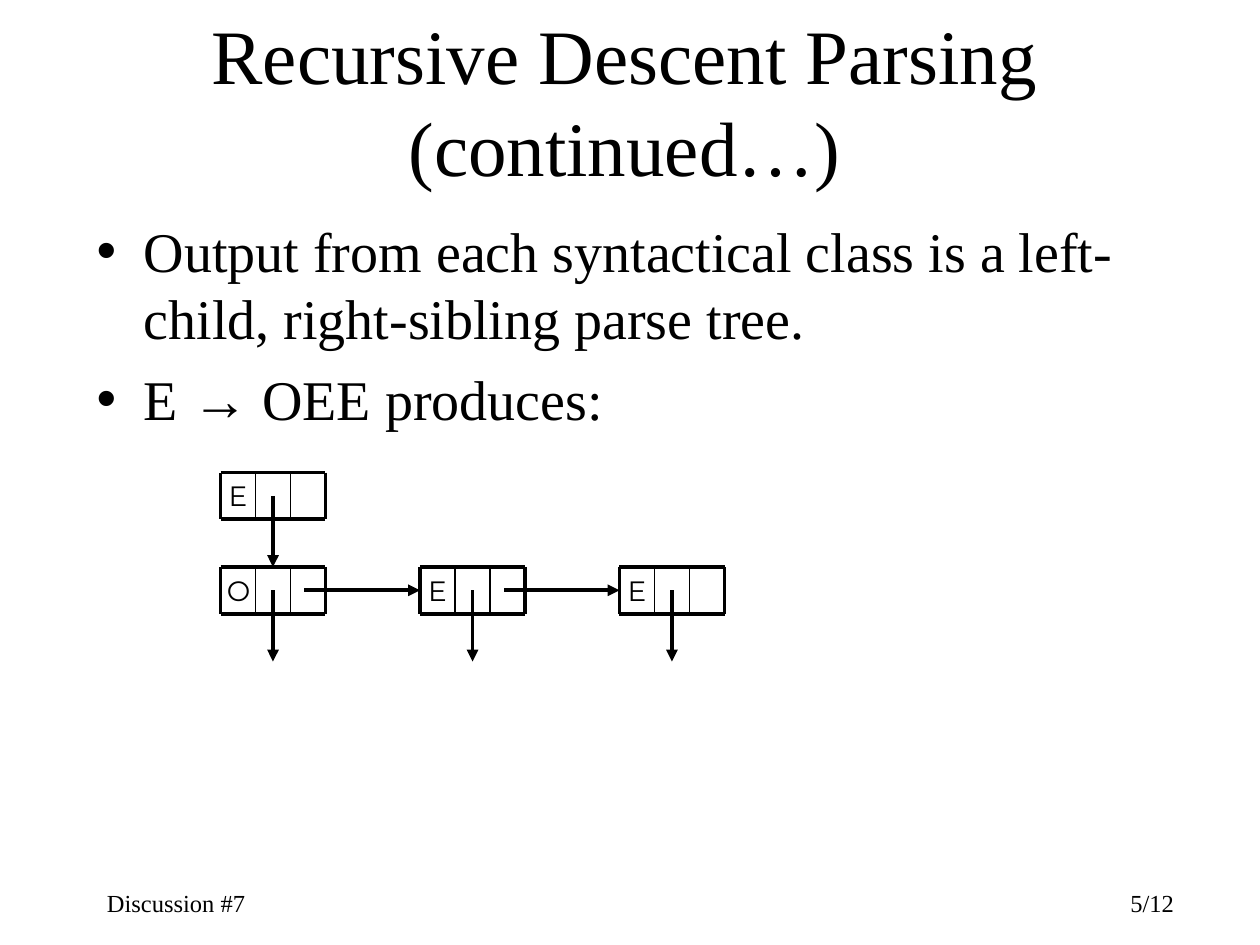
import pptx
import pptx.dml.color
import pptx.enum.shapes
import pptx.enum.text
import pptx.oxml.ns
import pptx.util
import lxml.etree

BLACK = "000000"
SERIF = "Times New Roman"
ALIGN = pptx.enum.text.PP_ALIGN
color = pptx.dml.color.RGBColor.from_string

presentation = pptx.Presentation()
presentation.slide_width = pptx.util.Inches(10)
presentation.slide_height = pptx.util.Inches(7.5)
slide = presentation.slides.add_slide(presentation.slide_layouts[1])

# The slide is a grid of 120 columns by 90 rows of square units
UNIT = presentation.slide_width / 120


def format_text(shape, box, size, font, align, space_before=0):
    """Place a text shape on the grid and format all its runs."""
    shape.left, shape.top, shape.width, shape.height = [round(n * UNIT) for n in box]
    shape.text_frame.word_wrap = True
    shape.text_frame.auto_size = pptx.enum.text.MSO_AUTO_SIZE.NONE
    for paragraph in shape.text_frame.paragraphs:
        paragraph.alignment = align
        paragraph.space_before = pptx.util.Pt(space_before)
        for run in paragraph.runs:
            run.font.size = pptx.util.Pt(size)
            run.font.name = font
            run.font.color.rgb = color(BLACK)


def add_line(x1, y1, x2, y2, width=2.25, arrow=False):
    """Draw a straight line between two grid points."""
    line = slide.shapes.add_connector(
        pptx.enum.shapes.MSO_CONNECTOR.STRAIGHT,
        *[round(n * UNIT) for n in (x1, y1, x2, y2)])
    line.line.color.rgb = color(BLACK)
    line.line.width = pptx.util.Pt(width)
    properties = line.element.spPr
    if arrow:
        outline = properties.find(pptx.oxml.ns.qn("a:ln"))
        lxml.etree.SubElement(outline, pptx.oxml.ns.qn("a:tailEnd"), type="triangle")
    lxml.etree.SubElement(properties, pptx.oxml.ns.qn("a:effectLst"))
    return line


# Footer
for text, left, align in (("Discussion #7", 9, ALIGN.LEFT), ("5/12", 88, ALIGN.RIGHT)):
    footer = slide.shapes.add_textbox(0, 0, 0, 0)
    footer.text_frame.text = text
    format_text(footer, (left, 84, 25, 4), 14, SERIF, align)

# Title
title = slide.shapes.title
title.text_frame.text = "Recursive Descent Parsing (continued…)"
title.text_frame.vertical_anchor = pptx.enum.text.MSO_ANCHOR.MIDDLE
format_text(title, (9, 2, 101, 15), 44, SERIF, ALIGN.CENTER)

# Bullet list, with the arrow sign in its own font
body = slide.placeholders[1]
first, second = body.text_frame.paragraphs[0], body.text_frame.add_paragraph()
first.text = "Output from each syntactical class is a left-child, right-sibling parse tree."
for part in ("E ", "→", " OEE produces:"):
    second.add_run().text = part
format_text(body, (8, 20, 102, 23), 32, SERIF, ALIGN.LEFT, 8)
second.runs[1].font.name = "Arial"

# Tree nodes: three cells for label, child and sibling
NODE_WIDTH, NODE_HEIGHT = 10, 4.45
CELL = NODE_WIDTH / 3
MIDDLE = NODE_HEIGHT / 2
LEFT, PITCH = 21, 19
ROOT_ROW, CHILD_ROW = 45, 54

labels = []
for text, x, y in (("E", LEFT, ROOT_ROW), ("O", LEFT, CHILD_ROW),
                   ("E", LEFT + PITCH, CHILD_ROW), ("E", LEFT + 2 * PITCH, CHILD_ROW)):
    label = slide.shapes.add_textbox(0, 0, 0, 0)
    label.text_frame.text = text
    label.text_frame.margin_left = label.text_frame.margin_right = pptx.util.Inches(0.05)
    format_text(label, (x, y, CELL, NODE_HEIGHT), 16, "Montserrat", ALIGN.CENTER, 4)
    labels.append(label)
    for edge in (y, y + NODE_HEIGHT):
        add_line(x, edge, x + NODE_WIDTH, edge)
    for column, width in enumerate((2.25, 1, 1, 2.25)):
        add_line(x + column * CELL, y, x + column * CELL, y + NODE_HEIGHT, width)
    # Child pointer
    center = x + NODE_WIDTH / 2
    add_line(center, y + MIDDLE, center, y + 9, arrow=True)

# Sibling pointers, each joined to the label cell of the next node
for index, sibling in enumerate(labels[2:]):
    x = LEFT + index * PITCH
    pointer = add_line(x + 8, CHILD_ROW + MIDDLE, x + PITCH, CHILD_ROW + MIDDLE, arrow=True)
    pointer.end_connect(sibling, 1)

presentation.save("out.pptx")
